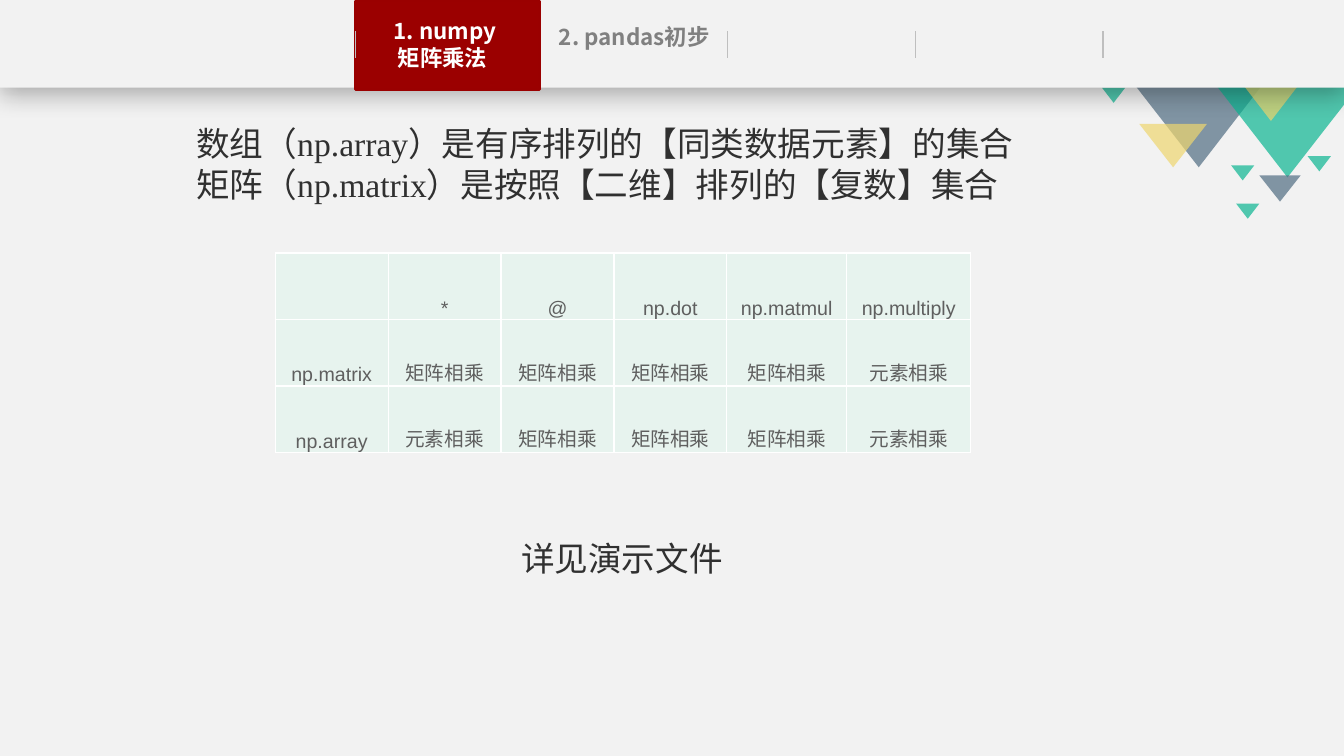
import pptx
import pptx.util
import pptx.dml.color
import pptx.enum.shapes
import pptx.enum.text
import pptx.oxml
import pptx.oxml.ns

PX = 9144
SHAPES = pptx.enum.shapes.MSO_SHAPE
ALIGN = pptx.enum.text.PP_ALIGN
GREY, GREEN, SLATE, YELLOW = "F2F2F2", "0CB692", "516D82", "EED66F"
SANS, SERIF = "Noto Sans CJK SC", "Times New Roman"


def color(value):
    return pptx.dml.color.RGBColor.from_string(value)


def element(tag, body="", attributes=""):
    namespace = pptx.oxml.ns.nsdecls("a")
    return pptx.oxml.parse_xml(f"<a:{tag} {namespace} {attributes}>{body}</a:{tag}>")


class SlideBuilder:
    def __init__(self, slide):
        self.slide = slide
        self.shapes = slide.shapes

    def finish(self, shape, fill, opacity=100, line=None):
        shape.shadow.inherit = False
        shape.fill.solid()
        shape.fill.fore_color.rgb = color(fill)
        if opacity < 100:
            fill_color = shape._element.spPr.find(".//" + pptx.oxml.ns.qn("a:srgbClr"))
            fill_color.append(element("alpha", attributes=f'val="{opacity * 1000}"'))
        if line:
            shape.line.color.rgb = color(line)
            shape.line.width = pptx.util.Pt(2)
        else:
            shape.line.fill.background()
        return shape

    def rectangle(self, box, fill, line=None):
        shape = self.shapes.add_shape(SHAPES.RECTANGLE, *(n * PX for n in box))
        return self.finish(shape, fill, line=line)

    def triangle(self, box, fill):
        shape = self.shapes.add_shape(SHAPES.ISOSCELES_TRIANGLE, *(n * PX for n in box))
        shape.rotation = 180
        self.finish(shape, fill, 70)

    def polygon(self, points, fill):
        builder = self.shapes.build_freeform(*points[0], scale=float(PX))
        builder.add_line_segments(points[1:], close=True)
        self.finish(builder.convert_to_shape(), fill, 70)

    def drop_shadow(self, shape):
        effects = shape._element.spPr.find(pptx.oxml.ns.qn("a:effectLst"))
        blur, distance = pptx.util.Pt(18), pptx.util.Pt(4)
        effects.append(element(
            "outerShdw",
            '<a:srgbClr val="000000"><a:alpha val="29000"/></a:srgbClr>',
            f'blurRad="{blur}" dist="{distance}" dir="5400000" algn="t" rotWithShape="0"'))

    def separator(self, x, top, bottom):
        connector = self.shapes.add_connector(
            pptx.enum.shapes.MSO_CONNECTOR.STRAIGHT, x * PX, top * PX, x * PX, bottom * PX)
        connector.line.color.rgb = color("BFBFBF")
        connector.line.width = pptx.util.Pt(0.75)
        connector._element.spPr.append(element("effectLst"))

    def run(self, paragraph, text, font, size, ink, bold=False):
        run = paragraph.add_run()
        run.text = text
        run.font.size = pptx.util.Pt(size)
        run.font.bold = bold
        run.font.color.rgb = color(ink)
        run.font.name = font
        run.font._element.append(element("ea", attributes=f'typeface="{SANS}"'))

    def text(self, box, lines, font, size, ink, spacing, tab=False):
        frame = self.shapes.add_textbox(*(n * PX for n in box)).text_frame
        frame.word_wrap = tab
        frame.auto_size = pptx.enum.text.MSO_AUTO_SIZE.SHAPE_TO_FIT_TEXT
        if tab:
            frame.margin_left = frame.margin_right = 0
        for index, line in enumerate(lines):
            paragraph = frame.add_paragraph() if index else frame.paragraphs[0]
            paragraph.alignment = ALIGN.CENTER if tab else ALIGN.LEFT
            paragraph.line_spacing = pptx.util.Pt(spacing)
            self.run(paragraph, line, font, size, ink, bold=tab)

    def cell(self, cell, text):
        properties = cell._tc.get_or_add_tcPr()
        for side in "LRTB":
            properties.append(element(
                f"ln{side}", '<a:solidFill><a:srgbClr val="FFFFFF"/></a:solidFill>', 'w="12700"'))
        cell.fill.solid()
        cell.fill.fore_color.rgb = color("E7F3EE")
        cell.vertical_anchor = pptx.enum.text.MSO_ANCHOR.BOTTOM
        cell.margin_left = cell.margin_right = cell.margin_top = PX
        cell.margin_bottom = 0
        if text:
            paragraph = cell.text_frame.paragraphs[0]
            paragraph.alignment = ALIGN.CENTER
            self.run(paragraph, text, "Arial", 14, "5F5F5F")

    def table(self, left, top, widths, height, rows):
        table = self.shapes.add_table(
            len(rows), len(widths), left * PX, top * PX,
            sum(widths) * PX, height * len(rows) * PX).table
        table.first_row = table.horz_banding = False
        for column, width in zip(table.columns, widths):
            column.width = width * PX
        for row, values in zip(table.rows, rows):
            row.height = height * PX
            for cell, value in zip(row.cells, values):
                self.cell(cell, value)


def main():
    presentation = pptx.Presentation()
    presentation.slide_width = 1333 * PX
    presentation.slide_height = 750 * PX
    slide = SlideBuilder(presentation.slides.add_slide(presentation.slide_layouts[6]))

    slide.rectangle((0, 0, 1333, 750), GREY)
    slide.polygon([(1060, 0), (1317, 0), (1189, 166)], SLATE)
    slide.polygon([(1150, 12), (1333, 12), (1333, 104), (1277, 176)], GREEN)
    slide.triangle((1189, 27, 143, 93), YELLOW)
    slide.triangle((1130, 123, 67, 43), YELLOW)
    for left, top in ((1297, 155), (1226, 202), (1221, 164)):
        slide.triangle((left, top, 23, 15), GREEN)
    slide.triangle((1249, 174, 41, 26), SLATE)
    slide.triangle((1093, 87, 23, 15), GREEN)

    slide.drop_shadow(slide.rectangle((0, 0, 1333, 87), GREY))
    slide.rectangle((353, 1, 182, 88), "9B0000", "9A0000")
    for x in (353, 722, 908, 1094):
        slide.separator(x, 31, 58)
    slide.text((368, 12, 147, 64), ["1. numpy", "矩阵乘法 "], SANS, 16, "FFFFFF", 19.4, tab=True)
    slide.text((548, 18, 162, 38), ["2. pandas初步"], SANS, 16, "808080", 19.4, tab=True)

    slide.text((185, 117, 867, 91), [
        "数组（np.array）是有序排列的【同类数据元素】的集合",
        "矩阵（np.matrix）是按照【二维】排列的【复数】集合",
    ], SERIF, 24, "303030", 29)
    matrix, item = "矩阵相乘", "元素相乘"
    slide.table(273, 251, [112, 112, 112, 112, 119, 123], 66, [
        ["", "*", "@", "np.dot", "np.matmul", "np.multiply"],
        ["np.matrix", matrix, matrix, matrix, matrix, item],
        ["np.array", item, matrix, matrix, matrix, item],
    ])
    slide.text((507, 528, 222, 50), ["详见演示文件"], SERIF, 24, "303030", 29)
    presentation.save("out.pptx")


if __name__ == "__main__":
    main()
